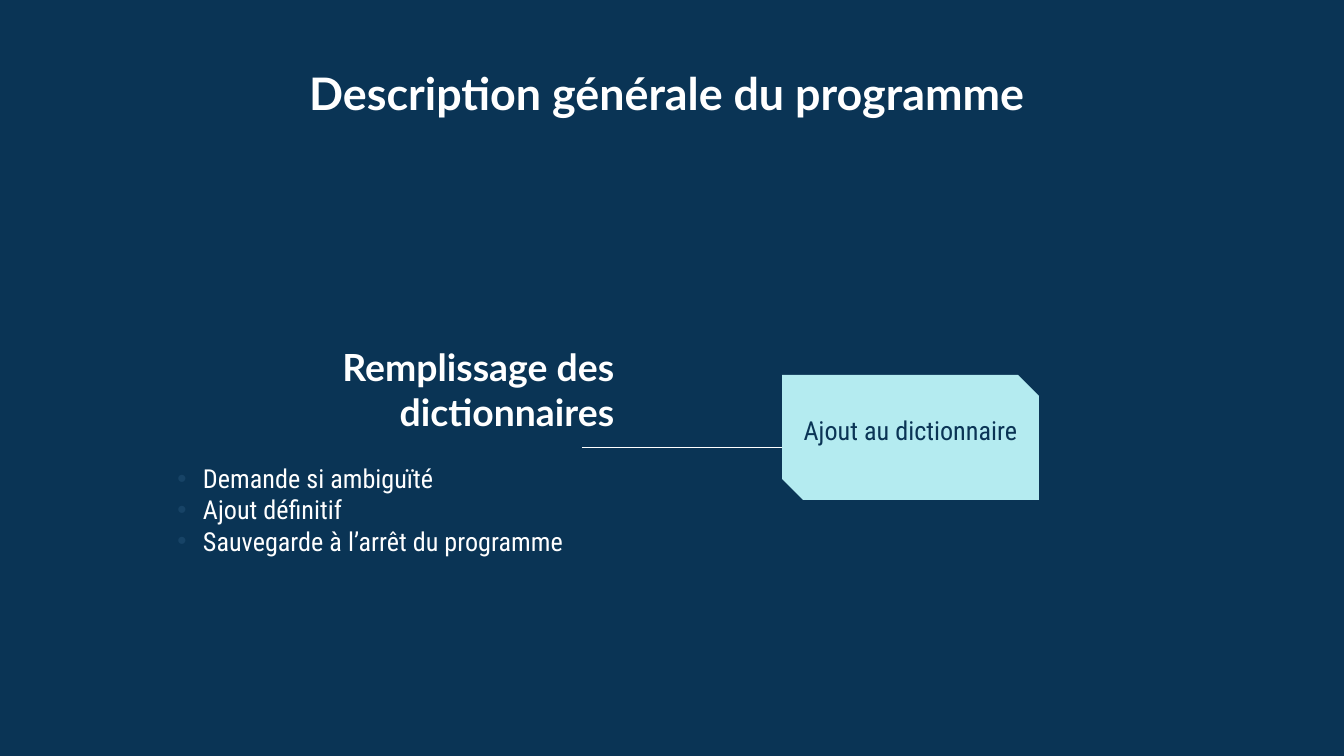
from lxml import etree
from pptx import Presentation
from pptx.dml.color import RGBColor
from pptx.enum.shapes import MSO_CONNECTOR, MSO_SHAPE
from pptx.enum.text import MSO_ANCHOR, MSO_AUTO_SIZE, PP_ALIGN
from pptx.oxml.ns import qn
from pptx.util import Inches, Pt

NAVY = RGBColor(0x0A, 0x34, 0x55)
BLUE = RGBColor(0x17, 0x43, 0x66)
AQUA = RGBColor(0xB4, 0xEB, 0xF0)
WHITE = RGBColor(0xFF, 0xFF, 0xFF)

LEFT, CENTER, RIGHT = PP_ALIGN.LEFT, PP_ALIGN.CENTER, PP_ALIGN.RIGHT
TOP, BOTTOM = MSO_ANCHOR.TOP, MSO_ANCHOR.BOTTOM
NO_FIT = MSO_AUTO_SIZE.NONE
STRAIGHT = MSO_CONNECTOR.STRAIGHT
SNIPPED = MSO_SHAPE.SNIP_2_DIAG_RECTANGLE

HEADING_FONT = "Lato"
BODY_FONT = "Roboto Condensed"
TITLE_AND_CONTENT = 1
SLIDE_WIDTH = Inches(10)
SLIDE_HEIGHT = SLIDE_WIDTH * 9 // 16


def add_bullet(para, indent=0.19):
    properties = para._p.get_or_add_pPr()
    properties.set("marL", str(Inches(indent)))
    properties.set("indent", str(Inches(-indent)))
    color = etree.SubElement(properties, qn("a:buClr"))
    etree.SubElement(color, qn("a:srgbClr"), val=str(BLUE))
    etree.SubElement(properties, qn("a:buChar"), char="•")


def write_text(box, lines, font=BODY_FONT, size=14, color=WHITE, bold=False,
               align=LEFT, anchor=TOP, bullets=False):
    frame = box.text_frame
    frame.word_wrap = True
    frame.auto_size = NO_FIT
    frame.vertical_anchor = anchor
    frame.margin_left = frame.margin_right = Inches(0.1)
    frame.margin_top = frame.margin_bottom = Inches(0.1)
    for index, line in enumerate(lines):
        para = frame.add_paragraph() if index else frame.paragraphs[0]
        para.alignment = align
        para.space_before = Pt(0)
        if bullets:
            add_bullet(para)
        span = para.add_run()
        span.text = line
        span.font.name = font
        span.font.size = Pt(size)
        span.font.bold = bold
        span.font.color.rgb = color


class SlideBuilder:
    def __init__(self, deck):
        self.page = deck.slides.add_slide(deck.slide_layouts[TITLE_AND_CONTENT])
        self.page.background.fill.solid()
        self.page.background.fill.fore_color.rgb = NAVY

    def place(self, box, left, top, width, height):
        box.left, box.top = Inches(left), Inches(top)
        box.width, box.height = Inches(width), Inches(height)

    def title(self, text, *area):
        box = self.page.shapes.title
        self.place(box, *area)
        write_text(box, [text], font=HEADING_FONT, size=24, bold=True, align=CENTER)

    def bullet_list(self, lines, *area):
        box = self.page.placeholders[1]
        self.place(box, *area)
        write_text(box, lines, bullets=True)

    def text(self, text, *area, **style):
        box = self.page.shapes.add_textbox(*map(Inches, area))
        write_text(box, [text], **style)

    def card(self, *area):
        card = self.page.shapes.add_shape(SNIPPED, *map(Inches, area))
        card.shadow.inherit = False
        card.fill.solid()
        card.fill.fore_color.rgb = AQUA
        card.line.fill.background()

    def line(self, *ends):
        line = self.page.shapes.add_connector(STRAIGHT, *map(Inches, ends))
        line.line.color.rgb = WHITE
        line.line.width = Pt(0.75)
        etree.SubElement(line._element.spPr, qn("a:effectLst"))


def main():
    deck = Presentation()
    deck.slide_width, deck.slide_height = SLIDE_WIDTH, SLIDE_HEIGHT
    slide = SlideBuilder(deck)

    slide.title("Description générale du programme", 2.11, 0.39, 5.7, 1.03)
    slide.line(4.33, 3.33, 5.82, 3.33)
    slide.text("Remplissage des dictionnaires", 1.75, 1.08, 2.92, 2.25,
               font=HEADING_FONT, size=20, bold=True, align=RIGHT, anchor=BOTTOM)
    slide.card(5.82, 2.79, 1.91, 0.93)
    slide.text("Ajout au dictionnaire", 5.82, 2.98, 1.91, 0.79,
               color=NAVY, align=CENTER)
    slide.bullet_list(["Demande si ambiguïté", "Ajout définitif",
                       "Sauvegarde à l’arrêt du programme"],
                      1.22, 3.34, 3.99, 1.95)
    deck.save("out.pptx")


if __name__ == "__main__":
    main()
